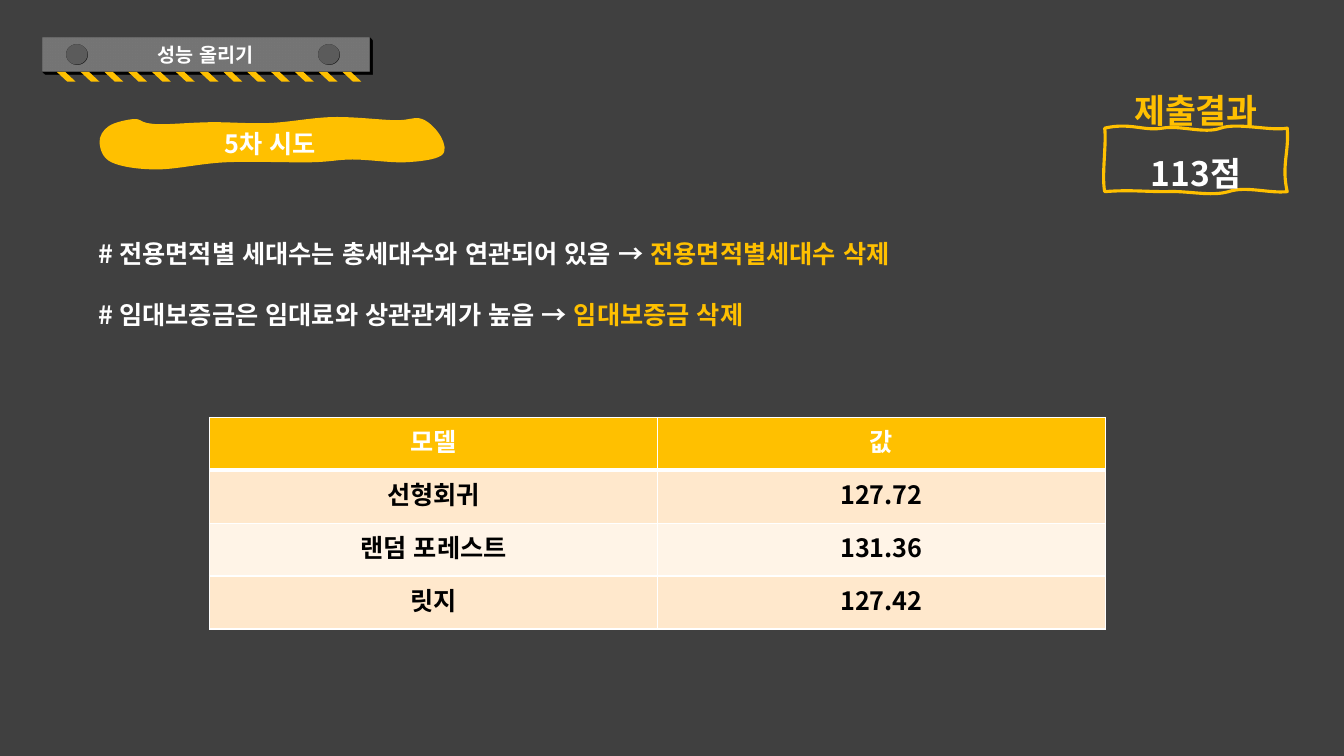
import pptx
import pptx.util
import pptx.dml.color
import pptx.enum.lang
import pptx.enum.shapes
import pptx.enum.text
import pptx.oxml.ns
import lxml.etree

Cm = pptx.util.Cm
Pt = pptx.util.Pt
RGBColor = pptx.dml.color.RGBColor
SHAPE = pptx.enum.shapes.MSO_SHAPE
ANCHOR = pptx.enum.text.MSO_ANCHOR
ALIGN = pptx.enum.text.PP_ALIGN
KOREAN = pptx.enum.lang.MSO_LANGUAGE_ID.KOREAN
qn = pptx.oxml.ns.qn

FONT = "Noto Sans CJK KR"
BACKGROUND = RGBColor(0x40, 0x40, 0x40)
PLATE = RGBColor(0x26, 0x26, 0x26)
BOLT = RGBColor(0x0D, 0x0D, 0x0D)
BLACK = RGBColor(0, 0, 0)
WHITE = RGBColor(0xFF, 0xFF, 0xFF)
YELLOW = RGBColor(0xFF, 0xC0, 0x00)
BAND_DARK = RGBColor(0xFF, 0xE8, 0xCC)
BAND_LIGHT = RGBColor(0xFF, 0xF4, 0xE7)


def add_xml(parent, tag, **attributes):
    return lxml.etree.SubElement(parent, qn(tag), **attributes)


def write(paragraph, parts, size, align=ALIGN.CENTER, spacing=None):
    """Fill a paragraph with (text, colour) parts in the bold slide font."""
    font = paragraph.font
    font.name, font.size, font.bold = FONT, Pt(size), True
    defaults = paragraph._p.pPr.find(qn("a:defRPr"))
    defaults.set("kern", "0")
    add_xml(defaults, "a:ea", typeface=FONT)
    paragraph.alignment = align
    if spacing:
        paragraph.line_spacing = spacing
    for text, colour in parts:
        run = paragraph.add_run()
        run.text = text
        run.font.color.rgb = colour
        run.font.language_id = KOREAN


def paint(shape, fill=None, line=None, width=1):
    shape.shadow.inherit = False
    if fill is None:
        shape.fill.background()
    else:
        shape.fill.solid()
        shape.fill.fore_color.rgb = fill
    if line is None:
        shape.line.fill.background()
    else:
        shape.line.color.rgb = line
        shape.line.width = Pt(width)
    return shape


def add_preset(slide, kind, left, top, width, height, **colours):
    shape = slide.shapes.add_shape(kind, Cm(left), Cm(top), Cm(width), Cm(height))
    return paint(shape, **colours)


def extrude(shape, depth):
    """Give a shape black sides towards the lower right."""
    properties = shape._element.spPr
    scene = add_xml(properties, "a:scene3d")
    add_xml(scene, "a:camera", prst="obliqueBottomRight")
    add_xml(scene, "a:lightRig", rig="threePt", dir="t")
    solid = add_xml(properties, "a:sp3d", extrusionH=str(Cm(depth)))
    add_xml(add_xml(solid, "a:extrusionClr"), "a:srgbClr", val=str(BLACK))


def add_outline(slide, left, top, start, segments, **colours):
    """Closed curve; a segment is (control, control, end) in cm from (left, top)."""
    def place(point):
        return Cm(left + point[0]), Cm(top + point[1])

    builder = slide.shapes.build_freeform(*place(start))
    builder.add_line_segments([place(segment[-1]) for segment in segments], close=True)
    shape = paint(builder.convert_to_shape(), **colours)
    lines = list(shape._element.iter(qn("a:lnTo")))
    for line, segment in zip(lines, segments):
        curve = lxml.etree.Element(qn("a:cubicBezTo"))
        for x, y in map(place, segment):
            add_xml(curve, "a:pt", x=str(x - shape.left), y=str(y - shape.top))
        line.getparent().replace(line, curve)
    return shape


def round_segments(knots):
    """Segments of a round closed curve through all knots."""
    segments = []
    for i, start in enumerate(knots):
        before, end = knots[i - 1], knots[(i + 1) % len(knots)]
        after = knots[(i + 2) % len(knots)]
        control1 = [s + (e - b) / 6 for b, s, e in zip(before, start, end)]
        control2 = [e - (a - s) / 6 for s, e, a in zip(start, end, after)]
        segments.append((control1, control2, end))
    return segments


def add_title_plate(slide, left, top, width, height):
    plate = add_preset(slide, SHAPE.RECTANGLE, left, top, width, height, fill=PLATE)
    extrude(plate, 0.38)
    plate.text_frame.vertical_anchor = ANCHOR.MIDDLE
    write(plate.text_frame.paragraphs[0], [("성능 올리기", WHITE)], 14)
    # Bolts
    size = 0.51
    for x in (0.61, 6.96):
        bolt = add_preset(slide, SHAPE.OVAL, left + x, top + (height - size) / 2,
                          size, size, fill=BOLT)
        extrude(bolt, 0.04)
    # Warning stripes
    for i in range(13):
        stripe = add_preset(slide, SHAPE.PARALLELOGRAM, left + 0.36 + 0.6 * i,
                            top + height, 0.48, 0.25, fill=YELLOW)
        stripe.adjustments[0] = 1.07
        stripe._element.spPr.xfrm.set("flipH", "1")


def add_attempt_label(slide, left, top):
    knots = [(0.23, 0.23), (0, 0.64), (0.3, 1.14), (1.45, 1.32), (3.18, 1.14),
             (5.33, 1.14), (6.38, 1.07), (7.7, 1.14), (8.61, 0.97), (8.61, 0.51),
             (8.13, 0.05), (7.44, 0.08), (5.89, 0), (4.29, 0.15), (2.82, 0.13),
             (1.63, 0.18), (1.19, 0.15), (0.86, 0.05)]
    label = add_outline(slide, left, top, knots[0], round_segments(knots), fill=YELLOW)
    label.text_frame.vertical_anchor = ANCHOR.MIDDLE
    write(label.text_frame.paragraphs[0], [("5차 시도", WHITE)], 18)


def add_findings(slide, left, top, width, height):
    findings = [
        ("# 전용면적별 세대수는 총세대수와 연관되어 있음 → ", "전용면적별세대수 삭제"),
        ("# 임대보증금은 임대료와 상관관계가 높음 → ", "임대보증금 삭제"),
    ]
    box = slide.shapes.add_textbox(Cm(left), Cm(top), Cm(width), Cm(height))
    frame = box.text_frame
    frame.word_wrap = True
    for i, (reason, action) in enumerate(findings):
        paragraph = frame.add_paragraph() if i else frame.paragraphs[0]
        write(paragraph, [(reason, WHITE), (action, YELLOW)], 18, ALIGN.LEFT, 2)


def add_model_table(slide, left, top, width, height):
    rows = [("모델", "값"), ("선형회귀", "127.72"),
            ("랜덤 포레스트", "131.36"), ("릿지", "127.42")]
    table = slide.shapes.add_table(len(rows), 2, Cm(left), Cm(top),
                                   Cm(width), Cm(height)).table
    for r, row in enumerate(rows):
        fill = YELLOW if r == 0 else BAND_DARK if r % 2 else BAND_LIGHT
        for c, text in enumerate(row):
            cell = table.cell(r, c)
            if r == 0:  # thick rule under the header
                rule = add_xml(cell._tc.get_or_add_tcPr(), "a:lnB", w=str(Pt(3)))
                add_xml(add_xml(rule, "a:solidFill"), "a:srgbClr", val=str(WHITE))
            cell.fill.solid()
            cell.fill.fore_color.rgb = fill
            write(cell.text_frame.paragraphs[0],
                  [(text, BLACK if r else WHITE)], 18)


def add_result(slide, left, top, width, height):
    # Hand-drawn frame below the heading
    wobbly = [
        ((0.64, -0.15), (0.99, 0.08), (1.45, 0)),
        ((1.91, -0.08), (2.51, 0.15), (2.92, 0)),
        ((3.35, -0.15), (4.19, 0.08), (4.6, 0)),
        ((4.65, 0.61), (4.45, 0.94), (4.6, 1.6)),
        ((4.14, 1.65), (3.56, 1.45), (3.12, 1.6)),
        ((2.67, 1.73), (2.08, 1.57), (1.55, 1.6)),
        ((0.99, 1.6), (0.61, 1.55), (0, 1.6)),
        ((-0.08, 1.19), (0.05, 0.38), (0, 0))]
    score = add_outline(slide, left, top + height, (0, 0), wobbly,
                        line=YELLOW, width=2.25)
    # Heading on an invisible straight frame
    corners = [(0, 0), (width, 0), (width, height), (0, height)]
    builder = slide.shapes.build_freeform(Cm(left), Cm(top))
    builder.add_line_segments([(Cm(left + x), Cm(top + y)) for x, y in corners[1:]])
    heading = paint(builder.convert_to_shape())
    for shape, text, colour in ((score, "113점", WHITE), (heading, "제출결과", YELLOW)):
        frame = shape.text_frame
        frame.word_wrap = True
        frame.vertical_anchor = ANCHOR.TOP
        write(frame.paragraphs[0], [(text, colour)], 24, spacing=1.5)


presentation = pptx.Presentation()
presentation.slide_width = Cm(33.87)
presentation.slide_height = Cm(19.05)
slide = presentation.slides.add_slide(presentation.slide_layouts[6])
slide.background.fill.solid()
slide.background.fill.fore_color.rgb = BACKGROUND

add_title_plate(slide, 1.07, 0.94, 8.23, 0.87)
add_findings(slide, 2.24, 5.13, 31.24, 3.33)
add_attempt_label(slide, 2.51, 2.95)
add_model_table(slide, 5.28, 10.52, 22.58, 5.33)
add_result(slide, 27.84, 1.63, 4.6, 1.6)

presentation.save("out.pptx")
